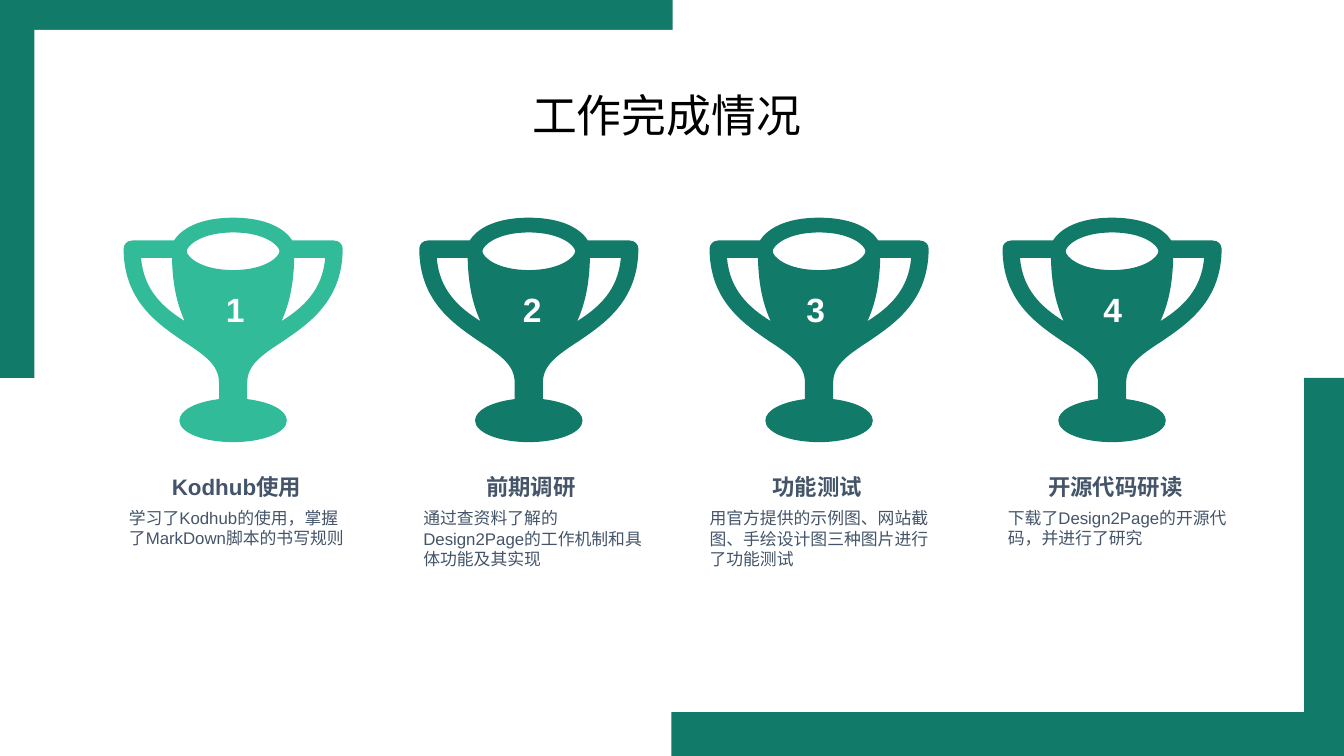
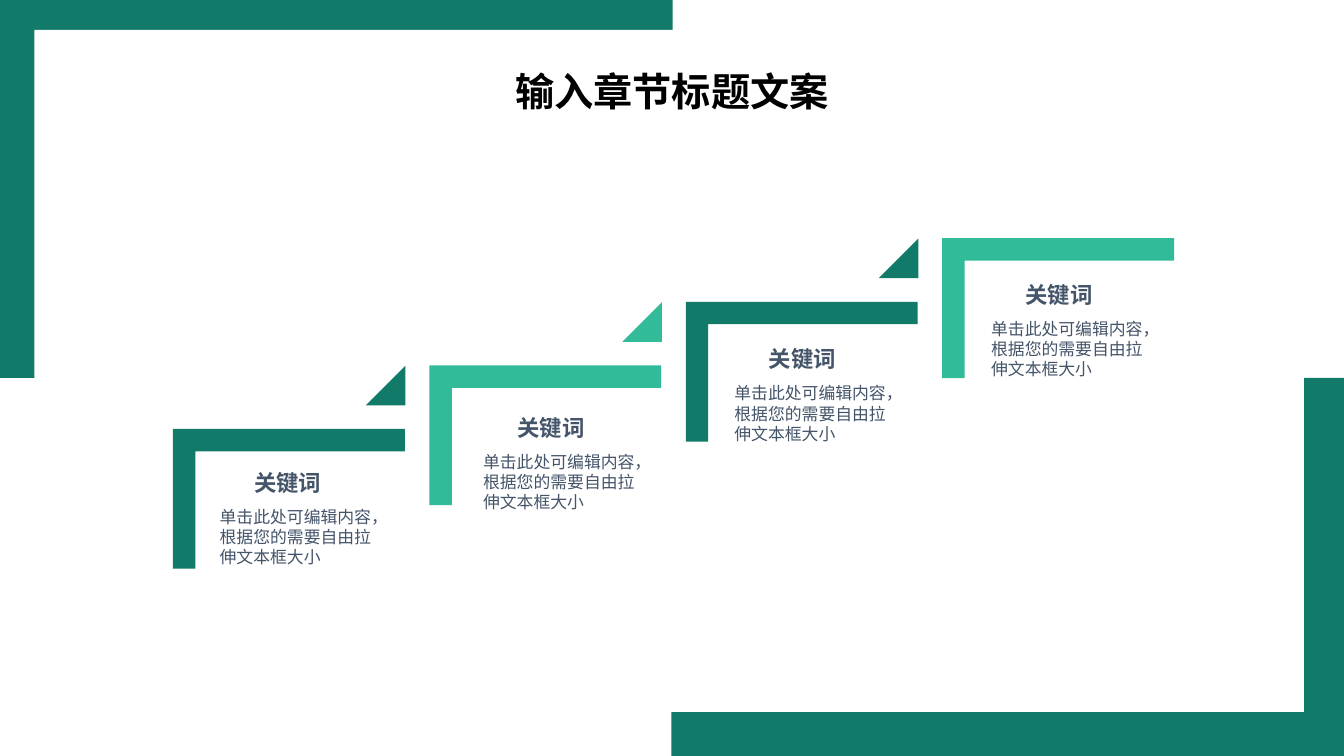
from dataclasses import dataclass

from pptx import Presentation
from pptx.dml.color import RGBColor
from pptx.enum.shapes import MSO_SHAPE
from pptx.enum.text import MSO_ANCHOR, MSO_AUTO_SIZE, PP_ALIGN
from pptx.oxml.ns import qn
from pptx.util import Inches, Pt


@dataclass(frozen=True)
class Theme:
    green: RGBColor = RGBColor.from_string("117A68")
    mint: RGBColor = RGBColor.from_string("32BB99")
    slate: RGBColor = RGBColor.from_string("445469")
    white: RGBColor = RGBColor.from_string("FFFFFF")
    black: RGBColor = RGBColor.from_string("000000")
    title_font: str = "Calibri"
    text_font: str = "Arial"
    title_size: int = 24
    chapter_size: int = 21
    number_size: int = 18
    heading_size: int = 12
    body_size: int = 9


THEME = Theme()

# The grid has square cells: 100 columns across, 56.25 rows down.
COLUMNS, ROWS = 100, 56.25
CELL = Inches(10) / COLUMNS

NUMBER = {"name": THEME.text_font, "size": Pt(THEME.number_size), "bold": True, "color": THEME.white}
HEADING = {"name": THEME.text_font, "size": Pt(THEME.heading_size), "bold": True, "color": THEME.slate}
BODY = {"name": THEME.text_font, "size": Pt(THEME.body_size), "bold": False, "color": THEME.slate}
TITLE = {"name": THEME.title_font, "size": Pt(THEME.title_size), "bold": False, "color": THEME.black}
CHAPTER = {**TITLE, "size": Pt(THEME.chapter_size), "bold": True}

# Trophy outlines as columns from the axis and rows from the top.
# A step of one point is a line, a step of three points is a Bezier curve.
CUP_HALF = [
    [(0, 0)],
    [(2.6, 0), (3.9, 0.9), (4.4, 1.7)],
    [(7.5, 1.7)],
    [(7.9, 1.7), (8.15, 2), (8.15, 2.3)],
    [(8.15, 6.2), (5.6, 7.9), (3.7, 9.2)],
    [(2, 10.3), (1.05, 11), (1.05, 12.3)],
    [(1.05, 13.5)],
    [(2.7, 13.7), (4, 14.3), (4, 15.1)],
    [(4, 16), (2.2, 16.7), (0, 16.7)],
]
MOUTH_HALF = [
    [(0, 1.1)],
    [(2.4, 1.1), (3.45, 2.1), (3.45, 2.5)],
    [(3.45, 2.9), (2.4, 3.9), (0, 3.9)],
]
HANDLE = [
    [(4.55, 3)],
    [(6.85, 3)],
    [(6.65, 5.4), (5.2, 6.7), (3.6, 7.7)],
    [(4.1, 6.6), (4.5, 5.2), (4.55, 3)],
]

# Trophy left, number left, caption left, heading, body, body rows
ACHIEVEMENTS = [
    (9.2, 13.8, 9.6, "Kodhub使用", "学习了Kodhub的使用，掌握了MarkDown脚本的书写规则", 3),
    (31.2, 35.9, 31.5, "前期调研", "通过查资料了解的Design2Page的工作机制和具体功能及其实现", 4.5),
    (52.8, 57, 52.8, "功能测试", "用官方提供的示例图、网站截图、手绘设计图三种图片进行了功能测试", 4.5),
    (74.6, 79.1, 75, "开源代码研读", "下载了Design2Page的开源代码，并进行了研究", 3),
]
KEYWORD_PLACES = [(11.8, 34.9), (31.4, 30.8), (50.1, 25.7), (69.2, 20.9)]
KEYWORD = "关键词"
KEYWORD_BODY = "单击此处可编辑内容，根据您的需要自由拉伸文本框大小"


def cells(*lengths):
    return [round(length * CELL) for length in lengths]


def set_attributes(target, values):
    for name, value in values.items():
        setattr(target, name, value)


def paint(shape, color):
    shape.shadow.inherit = False
    shape.fill.solid()
    shape.fill.fore_color.rgb = color
    shape.line.fill.background()


def add_block(slide, preset, box, color):
    block = slide.shapes.add_shape(preset, *cells(*box))
    paint(block, color)
    return block


def add_outline(slide, left, top, contours, color):
    """Draw closed contours as one shape; inner contours become holes."""
    builder = None
    for contour in contours:
        first, *others = [cells(left + x, top + y) for step in contour for x, y in step]
        if builder is None:
            builder = slide.shapes.build_freeform(*first)
        else:
            builder.move_to(*first)
        builder.add_line_segments(others, close=True)
    shape = builder.convert_to_shape()
    bend(shape, [step for contour in contours for step in contour[1:]])
    paint(shape, color)


def bend(shape, steps):
    """Join the three lines of each curved step into one Bezier curve."""
    lines = iter(shape.element.xpath(".//a:lnTo"))
    for step in steps:
        curve, *controls = [next(lines) for _ in step]
        if controls:
            curve.tag = qn("a:cubicBezTo")
        for control in controls:
            curve.append(control[0])
            control.getparent().remove(control)


def mirror(steps):
    """Follow the outline backwards on the other side of the axis."""
    mirrored = [[steps[-1][-1]]]
    for previous, step in reversed(list(zip(steps, steps[1:]))):
        mirrored.append([*reversed(step[:-1]), previous[-1]])
    return [[(-x, y) for x, y in step] for step in mirrored]


def add_trophy(slide, left, top, color):
    cup, mouth = [half + mirror(half)[1:] for half in (CUP_HALF, MOUTH_HALF)]
    add_outline(slide, left + 8.15, top, [cup, mouth, HANDLE, mirror(HANDLE)], color)


def add_bracket(slide, left, top, color):
    width, height, band = 17.25, 10.4, 1.67
    corners = [(0, 0), (width, 0), (width, band), (band, band), (band, height), (0, height)]
    add_outline(slide, left, top, [[[corner] for corner in corners]], color)


def write(shape, text, formats, alignment):
    frame = shape.text_frame
    set_attributes(frame, {
        "text": text,
        "word_wrap": True,
        "auto_size": MSO_AUTO_SIZE.SHAPE_TO_FIT_TEXT,
        "vertical_anchor": MSO_ANCHOR.TOP,
    })
    paragraph = frame.paragraphs[0]
    paragraph.alignment = alignment
    font = paragraph.runs[0].font
    set_attributes(font, {key: value for key, value in formats.items() if key != "color"})
    font.color.rgb = formats["color"]


def add_text(slide, box, text, formats, alignment=PP_ALIGN.CENTER):
    shape = slide.shapes.add_textbox(*cells(*box))
    margins = ("margin_left", "margin_top", "margin_right", "margin_bottom")
    set_attributes(shape.text_frame, dict.fromkeys(margins, 0))
    write(shape, text, formats, alignment)


def add_title(slide, box, text, formats, alignment):
    title = slide.shapes.title
    set_attributes(title, dict(zip(("left", "top", "width", "height"), cells(*box))))
    write(title, text, formats, alignment)


def add_frame_to_master(presentation, slide):
    """Draw the corner bands on the slide and move them to the back of the master."""
    half_width, half_height = COLUMNS / 2, ROWS / 2
    frame = [
        (MSO_SHAPE.RECTANGLE, (0, 0, half_width + 0.05, half_height), THEME.green),
        (MSO_SHAPE.RECTANGLE, (half_width - 0.05, half_height, half_width + 0.05, half_height), THEME.green),
        (MSO_SHAPE.RECTANGLE, (2.57, 2.23, 94.45, 50.75), THEME.white),
    ]
    tree = presentation.slide_master.shapes.element
    for position, block in enumerate(frame, start=2):
        tree.insert(position, add_block(slide, *block).element)


def fill_achievements(slide):
    add_title(slide, (38.6, 6, 31.6, 5), "工作完成情况", TITLE, PP_ALIGN.LEFT)
    for number, achievement in enumerate(ACHIEVEMENTS, start=1):
        trophy_left, number_left, caption_left, heading, body, body_rows = achievement
        add_trophy(slide, trophy_left, 16.2, THEME.mint if number == 1 else THEME.green)
        add_text(slide, (number_left, 21.5, 7.4, 3), str(number), NUMBER)
        add_text(slide, (caption_left, 35.2, 16, 2), heading, HEADING)
        add_text(slide, (caption_left, 37.8, 16.6, body_rows), body, BODY, PP_ALIGN.LEFT)


def fill_staircase(slide):
    add_title(slide, (34.2, 4.5, 31.6, 4.5), "输入章节标题文案", CHAPTER, PP_ALIGN.CENTER)
    for step, (text_left, text_top) in enumerate(KEYWORD_PLACES):
        color = (THEME.green, THEME.mint)[step % 2]
        left, top = 12.87 + 19.08 * step, 31.92 - 4.73 * step
        add_bracket(slide, left, top, color)
        if step < len(KEYWORD_PLACES) - 1:
            triangle = add_block(slide, MSO_SHAPE.ISOSCELES_TRIANGLE, (left + 14.35, top - 4.7, 2.94, 2.94), color)
            triangle.adjustments[0] = 1
        add_text(slide, (text_left, text_top, 19.2, 2), KEYWORD, HEADING)
        add_text(slide, (text_left + 4.55, text_top + 2.8, 11.4, 4.5), KEYWORD_BODY, BODY, PP_ALIGN.LEFT)


def main():
    presentation = Presentation()
    set_attributes(presentation, dict(zip(("slide_width", "slide_height"), cells(COLUMNS, ROWS))))
    title_only = presentation.slide_layouts[5]
    achievements, staircase = (presentation.slides.add_slide(title_only) for _ in range(2))
    add_frame_to_master(presentation, achievements)
    fill_achievements(achievements)
    fill_staircase(staircase)
    presentation.save("out.pptx")


if __name__ == "__main__":
    main()
